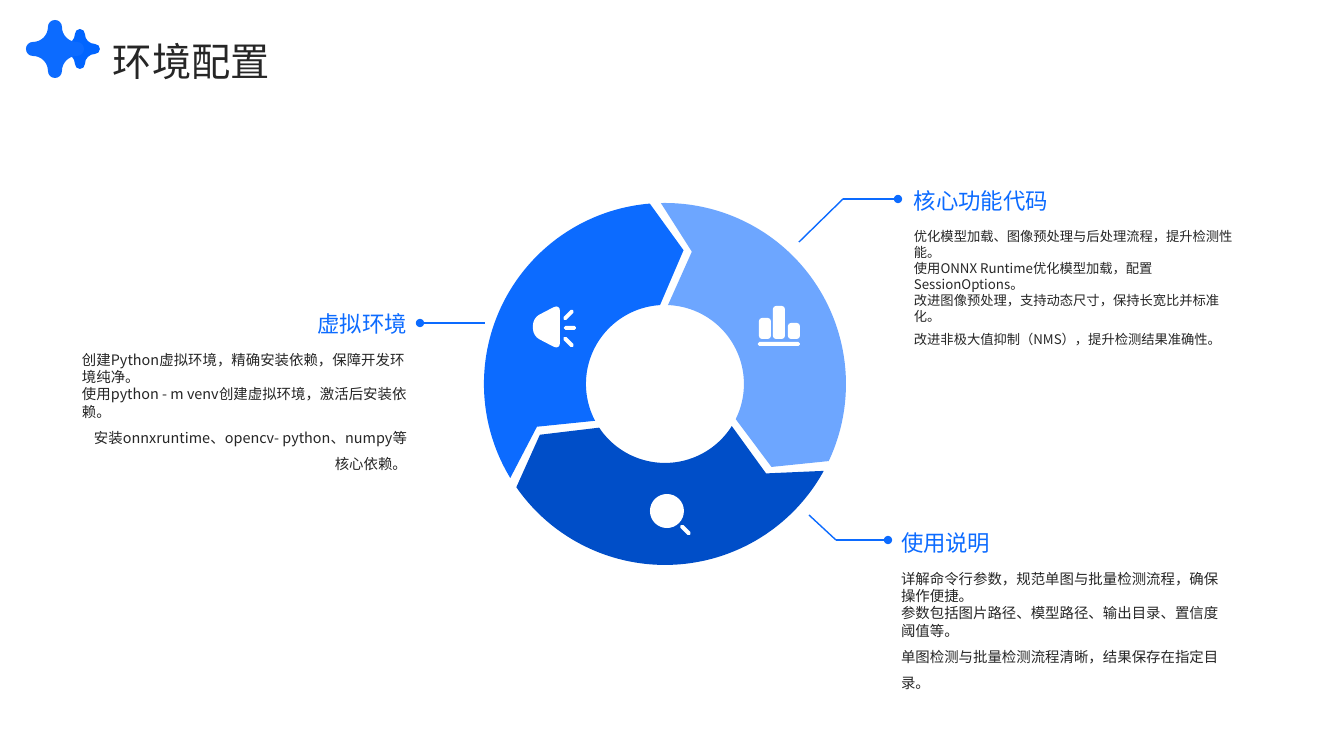
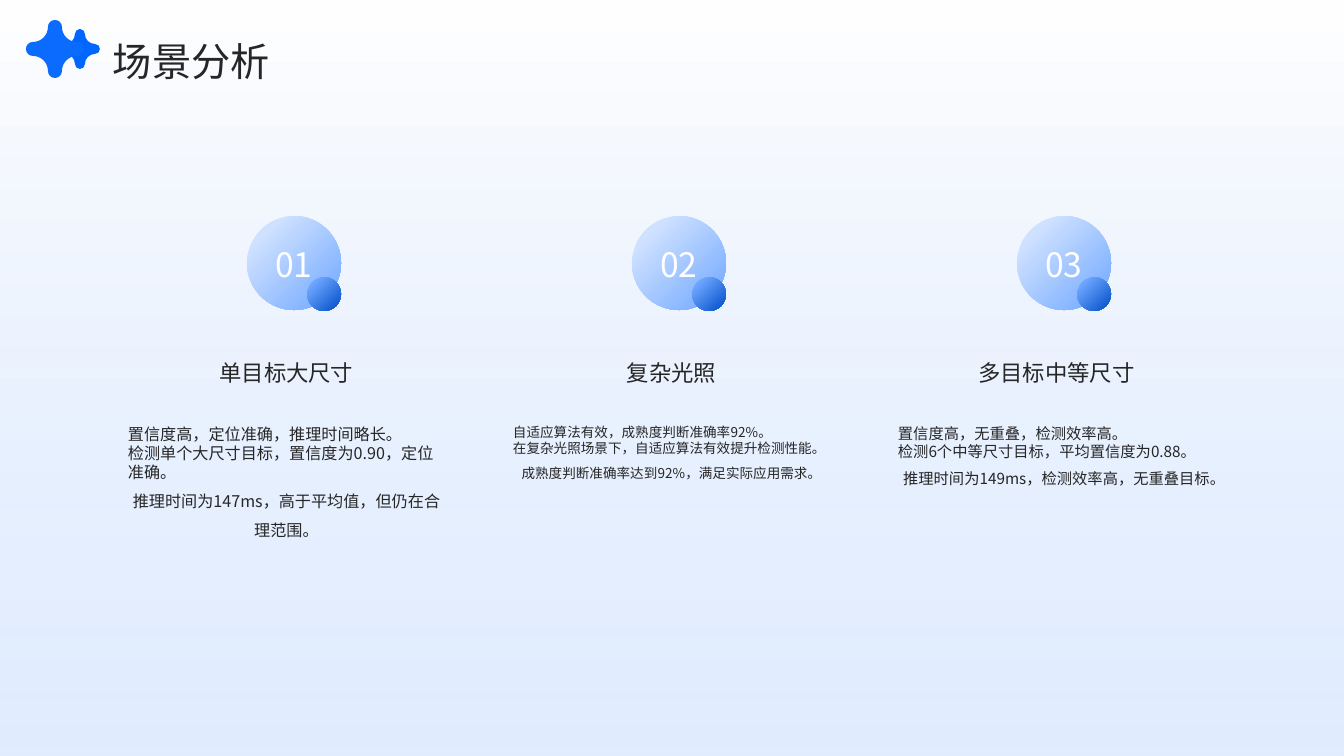
"""Build two slides: an environment setup ring and a scenario analysis."""
from dataclasses import dataclass
from itertools import chain, islice
from math import cos, dist, radians, sin, tan

from lxml import etree
from pptx import Presentation
from pptx.dml.color import RGBColor
from pptx.enum.shapes import MSO_CONNECTOR, MSO_SHAPE
from pptx.enum.text import MSO_ANCHOR, PP_ALIGN
from pptx.oxml import parse_xml
from pptx.oxml.ns import nsdecls, qn
from pptx.shapes.autoshape import Shape
from pptx.slide import Slide
from pptx.util import Emu, Pt

LEFT, CENTER, RIGHT = PP_ALIGN.LEFT, PP_ALIGN.CENTER, PP_ALIGN.RIGHT
TOP, MIDDLE, BOTTOM = MSO_ANCHOR.TOP, MSO_ANCHOR.MIDDLE, MSO_ANCHOR.BOTTOM
STRAIGHT = MSO_CONNECTOR.STRAIGHT
RECTANGLE, ELLIPSE = MSO_SHAPE.RECTANGLE, MSO_SHAPE.OVAL

EMU_PER_PX = 914400 / 100.8
SLIDE_WIDTH, SLIDE_HEIGHT = 1344, 756
Point = tuple[float, float]
Box = tuple[int, int, int, int]
Contour = list[tuple[Point, ...]]


@dataclass(frozen=True)
class TextStyle:
    """Size in points, colour and line height as a multiple of the size."""
    size: float
    color: str
    leading: float


@dataclass(frozen=True)
class Theme:
    """Colours, font and text styles shared by the slides."""
    font: str = "Noto Sans CJK SC"
    white: str = "FFFFFF"
    ink: str = "262626"
    blue: str = "0C6BFF"
    bright: str = "0165FF"
    light: str = "6DA6FF"
    dark: str = "004EC8"
    pale: str = "CEE1FF"
    title: TextStyle = TextStyle(28, ink, 1.66)
    callout: TextStyle = TextStyle(16, blue, 1.3)
    heading: TextStyle = TextStyle(16, ink, 1.3)
    number: TextStyle = TextStyle(24, white, 1.28)
    body_leading: float = 1.2
    closing_leading: float = 1.8


THEME = Theme()


@dataclass(frozen=True)
class Sparkle:
    """A four-armed star with round tips."""
    center: Point
    tip_offset: int
    tip_radius: int
    color: str


@dataclass(frozen=True)
class Callout:
    """A heading and body beside the ring, with its leader line."""
    heading: str
    lines: tuple[str, ...]
    size: float
    left: int
    top: int
    align: PP_ALIGN
    leader: tuple[Point, ...]


@dataclass(frozen=True)
class Scenario:
    """One column of the scenario slide."""
    heading: str
    lines: tuple[str, ...]
    size: float


SPARKLES = (
    Sparkle((80, 49), 15, 5, THEME.bright),
    Sparkle((55, 49), 22, 7, THEME.blue),
)
RING_CENTER = (665, 384)
OUTER_RADIUS, INNER_RADIUS, JOINT_RADIUS = 181, 79, 135
RING_COLORS = (THEME.light, THEME.dark, THEME.blue)
CALLOUTS = (
    Callout("核心功能代码", (
        "优化模型加载、图像预处理与后处理流程，提升检测性能。",
        "使用ONNX Runtime优化模型加载，配置SessionOptions。",
        "改进图像预处理，支持动态尺寸，保持长宽比并标准化。",
        "改进非极大值抑制（NMS），提升检测结果准确性。",
    ), 9.5, 914, 228, LEFT, ((799, 242), (843, 199), (898, 199))),
    Callout("使用说明", (
        "详解命令行参数，规范单图与批量检测流程，确保操作便捷。",
        "参数包括图片路径、模型路径、输出目录、置信度阈值等。",
        "单图检测与批量检测流程清晰，结果保存在指定目录。",
    ), 10.3, 901, 570, LEFT, ((809, 515), (836, 540), (888, 540))),
    Callout("虚拟环境", (
        "创建Python虚拟环境，精确安装依赖，保障开发环境纯净。",
        "使用python - m venv创建虚拟环境，激活后安装依赖。",
        "安装onnxruntime、opencv- python、numpy等核心依赖。",
    ), 10.3, 82, 351, RIGHT, ((485, 323), (420, 323))),
)
MEGAPHONE = ((560, 304), (560, 350), (533, 336), (533, 318))
SCENARIOS = (
    Scenario("单目标大尺寸", (
        "置信度高，定位准确，推理时间略长。",
        "检测单个大尺寸目标，置信度为0.90，定位准确。",
        "推理时间为147ms，高于平均值，但仍在合理范围。",
    ), 11.5),
    Scenario("复杂光照", (
        "自适应算法有效，成熟度判断准确率92%。",
        "在复杂光照场景下，自适应算法有效提升检测性能。",
        "成熟度判断准确率达到92%，满足实际应用需求。",
    ), 9.7),
    Scenario("多目标中等尺寸", (
        "置信度高，无重叠，检测效率高。",
        "检测6个中等尺寸目标，平均置信度为0.88。",
        "推理时间为149ms，检测效率高，无重叠目标。",
    ), 10.9),
)
COLUMN_LEFT, COLUMN_PITCH, COLUMN_WIDTH = 128, 385, 317


def px(length: float) -> Emu:
    """Turn pixels into EMU."""
    return Emu(round(length * EMU_PER_PX))


def paint(shape: Shape, color: str) -> None:
    """Give a shape a plain fill without outline or shadow."""
    shape.shadow.inherit = False
    shape.line.fill.background()
    shape.fill.solid()
    shape.fill.fore_color.rgb = RGBColor.from_string(color)


def add_preset(slide: Slide, preset: MSO_SHAPE, box: Box, color: str) -> Shape:
    """Add a plain preset shape."""
    shape = slide.shapes.add_shape(preset, *map(px, box))
    paint(shape, color)
    return shape


def set_gradient(shape: Shape, stops: tuple[tuple[int, str, int], ...], direction: str) -> None:
    """Replace the fill by a gradient of (position, colour, opacity) stops."""
    stop_xml = "".join(
        f'<a:gs pos="{position * 1000}"><a:srgbClr val="{color}">'
        f'<a:alpha val="{opacity * 1000}"/></a:srgbClr></a:gs>'
        for position, color, opacity in stops
    )
    gradient = parse_xml(f'<a:gradFill {nsdecls("a")}><a:gsLst>{stop_xml}</a:gsLst>{direction}</a:gradFill>')
    properties = shape._element.spPr
    properties.replace(properties.find(qn("a:solidFill")), gradient)


def add_outline(slide: Slide, contours: list[Contour], color: str) -> None:
    """Add a freeform of closed contours made of lines and cubic curves."""
    builder = None
    for contour in contours:
        start, *others = [(px(x), px(y)) for x, y in chain.from_iterable(contour)]
        if builder is None:
            builder = slide.shapes.build_freeform(*start, scale=1.0)
        else:
            builder.move_to(*start)
        builder.add_line_segments(others, close=True)
    shape = builder.convert_to_shape()
    paint(shape, color)
    geometry = shape._element.spPr.find(".//" + qn("a:path"))
    nodes = iter([node for node in geometry if node.tag != qn("a:close")])
    for segment in chain.from_iterable(contours):
        group = list(islice(nodes, len(segment)))
        if len(group) == 3:
            curve = etree.Element(qn("a:cubicBezTo"))
            group[0].addprevious(curve)
            for node in group:
                curve.append(node[0])
                geometry.remove(node)


def polar(center: Point, radius: float, angle: float) -> Point:
    """Return the point at an angle in degrees, clockwise from the right."""
    return center[0] + radius * cos(radians(angle)), center[1] + radius * sin(radians(angle))


def arc(center: Point, radius: float, start: float, end: float, pieces: int) -> Contour:
    """Return the start of an arc and the cubic curves along it."""
    step = (end - start) / pieces
    handle = radius * 4 / 3 * tan(radians(step / 4))
    segments = [(polar(center, radius, start),)]
    for index in range(pieces):
        first, last = start + index * step, start + (index + 1) * step
        finish = polar(center, radius, last)
        segments.append((
            polar(polar(center, radius, first), handle, first + 90),
            polar(finish, handle, last - 90),
            finish,
        ))
    return segments


def rounded_polygon(corners: tuple[Point, ...], cut: float) -> Contour:
    """Return the polygon with each corner replaced by a curve."""
    segments = []
    for index, corner in enumerate(corners):
        start, near_start, near_end, end = (
            tuple(a + (b - a) * length / dist(corner, other) for a, b in zip(corner, other))
            for other, length in (
                (corners[index - 1], cut), (corners[index - 1], cut * 0.45),
                (corners[(index + 1) % len(corners)], cut * 0.45), (corners[(index + 1) % len(corners)], cut),
            )
        )
        segments += [(start,), (near_start, near_end, end)]
    return segments


def bar(left: int, top: int, width: int, height: int, radius: float = 1.5, angle: int = 0) -> Contour:
    """Return a rounded bar turned about its centre."""
    center = (left + width / 2, top + height / 2)
    corners = []
    for side_x, side_y in ((-1, -1), (1, -1), (1, 1), (-1, 1)):
        along = polar(center, side_x * width / 2, angle)
        corners.append(polar(along, side_y * height / 2, angle + 90))
    return rounded_polygon(tuple(corners), radius)


def add_icons(slide: Slide) -> None:
    """Add one white icon to each ring segment."""
    megaphone = [
        rounded_polygon(MEGAPHONE, 7), bar(564, 326, 12, 4),
        bar(562, 313, 13, 4, angle=-45), bar(562, 340, 13, 4, angle=45),
    ]
    magnifier = [arc((667, 511), 17, 0, 360, 4), bar(679, 528, 13, 4, angle=45)]
    chart = [
        bar(758, 342, 42, 4), bar(759, 318, 12, 21, 3),
        bar(773, 306, 12, 33, 3), bar(788, 323, 12, 16, 3),
    ]
    for icon in (megaphone, magnifier, chart):
        add_outline(slide, icon, THEME.white)


def add_text(shape: Shape, lines: tuple[str, ...], style: TextStyle, align: PP_ALIGN,
             anchor: MSO_ANCHOR = TOP) -> None:
    """Fill a shape with paragraphs of one style."""
    frame = shape.text_frame
    frame.word_wrap = True
    frame.vertical_anchor = anchor
    frame.margin_left = frame.margin_right = frame.margin_top = frame.margin_bottom = 0
    frame.text = "\n".join(lines)
    for paragraph in frame.paragraphs:
        paragraph.alignment = align
        paragraph.line_spacing = Pt(style.size * style.leading)
        font = paragraph.font
        font.name = THEME.font
        font.size = Pt(style.size)
        font.color.rgb = RGBColor.from_string(style.color)
        defaults = paragraph._p.pPr.find(qn("a:defRPr"))
        etree.SubElement(defaults, qn("a:ea")).set("typeface", THEME.font)


def add_label(slide: Slide, box: Box, lines: tuple[str, ...], style: TextStyle,
              align: PP_ALIGN = LEFT, anchor: MSO_ANCHOR = TOP) -> Shape:
    """Add a text box."""
    label = slide.shapes.add_textbox(*map(px, box))
    add_text(label, lines, style, align, anchor)
    return label


def add_body(slide: Slide, box: Box, lines: tuple[str, ...], size: float, align: PP_ALIGN) -> None:
    """Add body text whose last paragraph is aligned and set wider."""
    label = add_label(slide, box, lines, TextStyle(size, THEME.ink, THEME.body_leading))
    *opening, closing = label.text_frame.paragraphs
    for paragraph in opening:
        paragraph._p.pPr.set("hangingPunct", "0")
    closing.alignment = align
    closing.line_spacing = Pt(size * THEME.closing_leading)


def add_leader(slide: Slide, points: tuple[Point, ...]) -> None:
    """Add a leader line that ends in a dot."""
    for start, end in zip(points, points[1:]):
        connector = slide.shapes.add_connector(STRAIGHT, *map(px, start + end))
        connector.line.color.rgb = RGBColor.from_string(THEME.blue)
        connector.line.width = Pt(1)
        if end == points[-1]:
            etree.SubElement(connector.line._get_or_add_ln(), qn("a:tailEnd")).set("type", "oval")
        etree.SubElement(connector._element.spPr, qn("a:effectLst"))


def add_header(slide: Slide, title: str) -> None:
    """Add the title and its sparkles."""
    add_label(slide, (113, 19, 1127, 57), (title,), THEME.title)
    for star in SPARKLES:
        notch_radius = star.tip_offset - star.tip_radius
        contour = []
        for angle in range(0, 360, 90):
            tip = polar(star.center, star.tip_offset, angle)
            corner = polar(star.center, star.tip_offset * 2 ** 0.5, angle + 45)
            contour += arc(tip, star.tip_radius, angle - 90, angle + 90, 2)
            contour += arc(corner, notch_radius, angle + 270, angle + 180, 1)[1:]
        add_outline(slide, [contour], star.color)


def add_ring(slide: Slide) -> None:
    """Add the three interlocking ring segments."""
    for index, color in enumerate(RING_COLORS):
        turn = index * 120
        contour = arc(RING_CENTER, OUTER_RADIUS, turn - 91.3, turn + 25.2, 3)
        contour.append((polar(RING_CENTER, JOINT_RADIUS, turn + 37.9),))
        contour += arc(RING_CENTER, INNER_RADIUS, turn + 26.4, turn - 87.8, 3)
        contour.append((polar(RING_CENTER, JOINT_RADIUS, turn - 78.5),))
        add_outline(slide, [contour], color)


def build_environment(slide: Slide) -> None:
    """Draw the environment setup slide."""
    add_ring(slide)
    for callout in CALLOUTS:
        add_leader(slide, callout.leader)
        add_body(slide, (callout.left, callout.top, 325, 137), callout.lines, callout.size, callout.align)
        heading_box = (callout.left, callout.top - 82, 325, 68)
        add_label(slide, heading_box, (callout.heading,), THEME.callout, callout.align, BOTTOM)
    add_icons(slide)
    add_header(slide, "环境配置")


def build_scenarios(slide: Slide) -> None:
    """Draw the scenario analysis slide."""
    backdrop = add_preset(slide, RECTANGLE, (0, 0, SLIDE_WIDTH, SLIDE_HEIGHT), THEME.white)
    set_gradient(backdrop, ((0, THEME.white, 100), (100, THEME.pale, 60)), '<a:lin ang="5400000" scaled="0"/>')
    glow = '<a:path path="circle"><a:fillToRect l="100000" t="100000"/></a:path>'
    for index, scenario in enumerate(SCENARIOS):
        left = COLUMN_LEFT + index * COLUMN_PITCH
        badge = add_preset(slide, ELLIPSE, (left + 119, 216, 94, 94), THEME.light)
        set_gradient(badge, ((0, THEME.light, 100), (81, THEME.pale, 100)), glow)
        add_text(badge, (f"{index + 1:02}",), THEME.number, CENTER, MIDDLE)
        dot = add_preset(slide, ELLIPSE, (left + 179, 277, 34, 34), THEME.dark)
        set_gradient(dot, ((0, THEME.dark, 100), (81, THEME.light, 100)), glow)
        add_label(slide, (left, 357, COLUMN_WIDTH, 29), (scenario.heading,), THEME.heading, CENTER)
        add_body(slide, (left, 424, COLUMN_WIDTH, 139), scenario.lines, scenario.size, CENTER)
    add_header(slide, "场景分析")


def main() -> None:
    """Build and save the presentation."""
    presentation = Presentation()
    presentation.slide_width, presentation.slide_height = px(SLIDE_WIDTH), px(SLIDE_HEIGHT)
    for build in (build_environment, build_scenarios):
        build(presentation.slides.add_slide(presentation.slide_layouts[6]))
    presentation.save("out.pptx")


if __name__ == "__main__":
    main()
